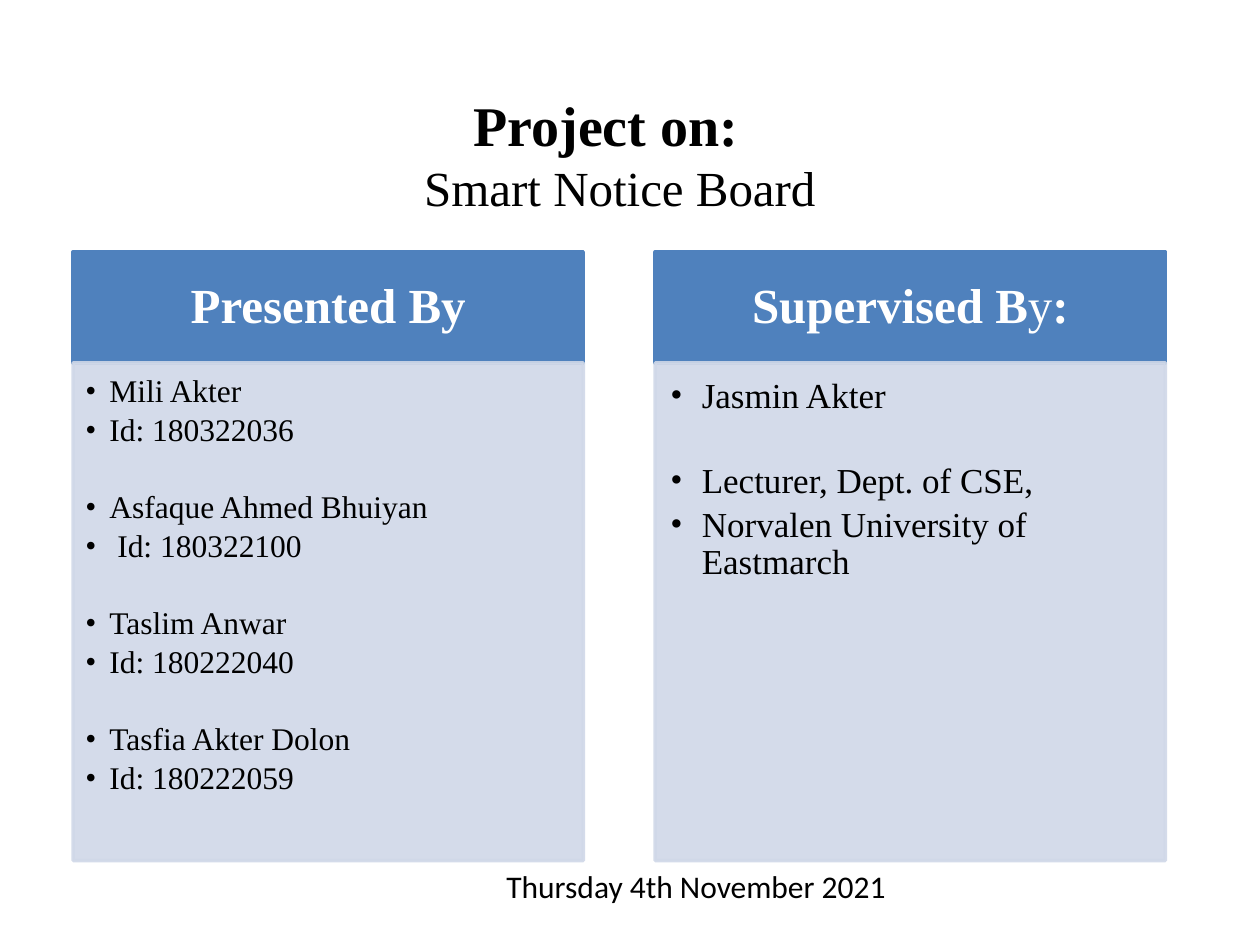
from dataclasses import dataclass

from lxml.etree import SubElement
from pptx import Presentation
from pptx.dml.color import RGBColor as Rgb
from pptx.enum.shapes import MSO_SHAPE as Shape
from pptx.enum.text import MSO_ANCHOR as Anchor, PP_ALIGN as Align
from pptx.oxml.ns import qn
from pptx.util import Inches, Pt


@dataclass(frozen=True)
class Theme:
    blue: str = "4F81BD"
    pale: str = "D0D8E8"
    ink: str = "000000"
    white: str = "FFFFFF"
    serif: str = "Times New Roman"
    sans: str = "Calibri"
    big: int = 32
    head: int = 28
    mid: int = 20
    small: int = 18
    alpha: int = 90


@dataclass(frozen=True)
class Panel:
    title: list[tuple[str, bool]]
    groups: list[list[str]]
    size: int
    indent: float
    inset: tuple[float, float, float, float]


T = Theme()

# Column grid in inches
LEFT, TOP, WIDTH, STEP = 0.58, 2, 4.05, 4.62
HEAD, BODY = 0.88, 3.95

PANELS = [
    Panel([("Presented By", True)],
          [["Mili Akter", "Id: 180322036"],
           ["Asfaque Ahmed Bhuiyan", " Id: 180322100"],
           ["Taslim Anwar", "Id: 180222040"],
           ["Tasfia Akter Dolon", "Id: 180222059"]],
          T.small, 0.19, (0.1, 0.1, 0.14, 0.16)),
    Panel([("Supervised B", True), ("y", False), (":", True)],
          [["Jasmin Akter"],
           ["Lecturer, Dept. of CSE,", "Norvalen University of Eastmarch"]],
          T.mid, 0.25, (0.12, 0.12, 0.16, 0.17)),
]


def write(para, text: str, *, size: int, color: str = T.ink,
          font: str = T.serif, bold: bool = False, align=Align.LEFT) -> None:
    """Add one formatted run to a paragraph."""
    para.alignment = align
    run = para.add_run()
    run.text = text
    run.font.size, run.font.name, run.font.bold = Pt(size), font, bold
    run.font.color.rgb = Rgb.from_string(color)


def fade(fill) -> None:
    """Make a solid fill slightly transparent."""
    color = fill._xPr.find(qn("a:solidFill"))[0]
    SubElement(color, qn("a:alpha"), val=str(T.alpha * 1000))


def frame(shape, inset: tuple[float, float, float, float], anchor):
    """Set up the text frame of a shape."""
    text = shape.text_frame
    text.word_wrap, text.vertical_anchor = True, anchor
    (text.margin_left, text.margin_top,
     text.margin_right, text.margin_bottom) = map(Inches, inset)
    return text


def block(slide, left: float, top: float, height: float, color: str):
    """Draw one rectangle of a panel."""
    box = slide.shapes.add_shape(Shape.RECTANGLE, *map(
        Inches, (left, top, WIDTH, height)))
    box.shadow.inherit = False
    box.fill.solid()
    box.fill.fore_color.rgb = box.line.color.rgb = Rgb.from_string(color)
    box.line.width = Pt(2)
    return box


def bullet(para, indent: float) -> None:
    """Give a paragraph a hanging bullet."""
    props = para._p.get_or_add_pPr()
    props.set("marL", str(Inches(indent)))
    props.set("indent", str(-Inches(indent)))
    SubElement(props, qn("a:buFont"), typeface=T.serif)
    SubElement(props, qn("a:buChar"), char="•")


def draw(slide, panel: Panel, left: float) -> None:
    """Draw a heading bar over a bulleted list."""
    bar = block(slide, left, TOP, HEAD, T.blue)
    para = frame(bar, (0.22, 0.12, 0.22, 0.12), Anchor.MIDDLE).paragraphs[0]
    para.line_spacing = 0.9
    for text, bold in panel.title:
        write(para, text, size=T.head, color=T.white, bold=bold,
              align=Align.CENTER)

    box = block(slide, left, TOP + HEAD, BODY, T.pale)
    fade(box.fill)
    fade(box.line.fill)
    body = frame(box, panel.inset, Anchor.TOP)
    para = body.paragraphs[0]
    for group in panel.groups:
        for item in group:
            if para.runs:
                para = body.add_paragraph()
            para.line_spacing = 0.9
            # The last item of a group leaves one open line
            share = 1.36 if item == group[-1] else 0.16
            para.space_after = Pt(round(share * panel.size, 1))
            bullet(para, panel.indent)
            write(para, item, size=panel.size)


deck = Presentation()
deck.slide_width, deck.slide_height = Inches(10), Inches(7.5)
slide = deck.slides.add_slide(deck.slide_layouts[6])

# Title, its first line set slightly left of centre
title = slide.shapes.add_textbox(*map(Inches, (0.67, 0.25, 8.5, 1.94)))
text = frame(title, (0.1, 0.05, 0.1, 0.05), Anchor.MIDDLE)
lines = [("Project on:", T.big, True, 0.22),
         ("Smart Notice Board", T.head, False, 0)]
for row, (words, size, bold, right) in enumerate(lines):
    para = text.add_paragraph() if row else text.paragraphs[0]
    write(para, words, size=size, bold=bold, align=Align.CENTER)
    props = para._p.get_or_add_pPr()
    props.set("marL", "0")
    props.set("marR", str(Inches(right)))
    props.set("indent", "0")

# Panels
for col, panel in enumerate(PANELS):
    draw(slide, panel, LEFT + col * STEP)

# Date
date = slide.shapes.add_textbox(*map(Inches, (3.92, 6.83, 3.25, 0.4)))
date.text_frame.word_wrap = False
write(date.text_frame.paragraphs[0], "Thursday 4th November 2021",
      size=T.small, font=T.sans)

deck.save("out.pptx")
